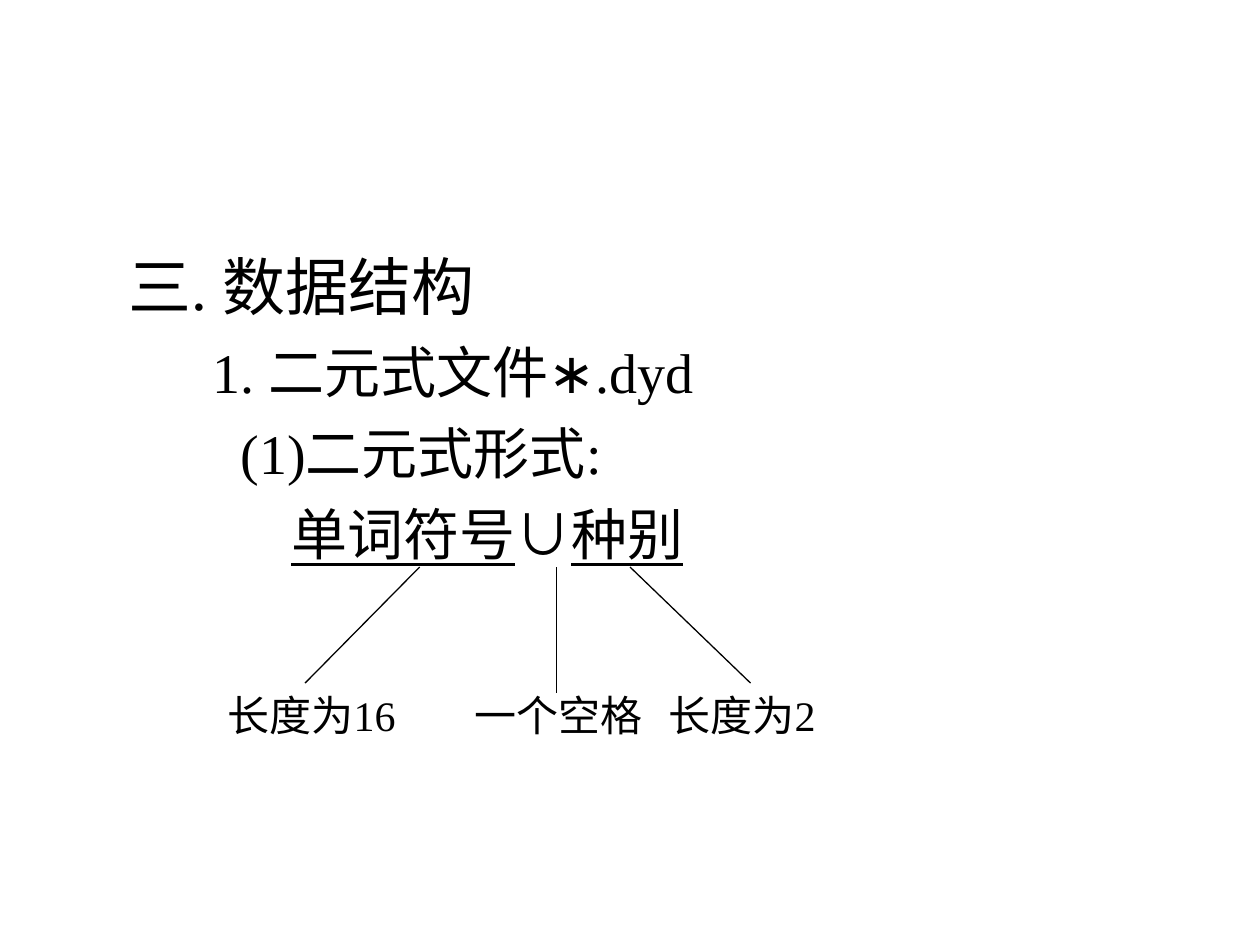
"""Build the slide on the two-part token file format."""
from dataclasses import dataclass

from lxml.etree import SubElement
from pptx import Presentation
from pptx.dml.color import RGBColor
from pptx.enum.shapes import MSO_CONNECTOR as Connector
from pptx.enum.text import MSO_ANCHOR as Anchor, MSO_AUTO_SIZE as AutoSize
from pptx.oxml.ns import qn
from pptx.util import Cm, Pt


@dataclass(frozen=True)
class Theme:
    ink: RGBColor = RGBColor(0, 0, 0)
    serif: str = "Times New Roman"
    sans: str = "Arial"
    heading: int = 36
    body: int = 32
    label: int = 24
    line: float = 0.75


theme = Theme()


def add_span(para, text, size=theme.body, font=theme.serif, underline=False):
    span = para.add_run()
    span.text = text
    span.font.size = Pt(size)
    span.font.name = font
    span.font.underline = underline
    span.font.color.rgb = theme.ink


deck = Presentation()
deck.slide_width, deck.slide_height = Cm(25.4), Cm(19.05)
page = deck.slides.add_slide(deck.slide_layouts[6])

outline = [
    (0, [("三. 数据结构", {"size": theme.heading})]),
    (1.69, [("1. 二元式文件", {}), ("∗", {"font": theme.sans}), (".dyd", {})]),
    (2.26, [("(1)二元式形式:", {})]),
    (3.28, [("单词符号", {"underline": True}), ("∪", {"font": theme.sans}),
            ("种别", {"underline": True})]),
]
box = page.shapes.add_textbox(Cm(2.34), Cm(4.87), Cm(21.59), Cm(11.43))
frame = box.text_frame
frame.word_wrap = True
frame.vertical_anchor = Anchor.TOP
for index, (indent, spans) in enumerate(outline):
    para = frame.add_paragraph() if index else frame.paragraphs[0]
    para.space_before = Pt(8 if index else 0)
    para._p.get_or_add_pPr().set("marL", str(Cm(indent)))
    for text, style in spans:
        add_span(para, text, **style)

field_bottom, label_top = Cm(11.43), Cm(13.77)
fields = [
    ("长度为16", 4.34, 4.2, 8.46, 6.15, 13.77, False),
    ("长度为2", 13.23, 3.8, 12.7, 15.13, 13.77, True),
    ("一个空格", 9.32, 4, 11.22, 11.22, 13.97, False),
]
for text, left, width, start, end, end_top, joined in fields:
    label = page.shapes.add_textbox(Cm(left), label_top, Cm(width), Cm(1.27))
    label.text_frame.word_wrap = False
    label.text_frame.auto_size = AutoSize.SHAPE_TO_FIT_TEXT
    add_span(label.text_frame.paragraphs[0], text, size=theme.label)

    pointer = page.shapes.add_connector(
        Connector.STRAIGHT, Cm(start), field_bottom, Cm(end), Cm(end_top))
    pointer.line.color.rgb = theme.ink
    pointer.line.width = Pt(theme.line)
    SubElement(pointer._element.spPr, qn("a:effectLst"))
    if joined:
        pointer.end_connect(label, 0)

deck.save("out.pptx")
